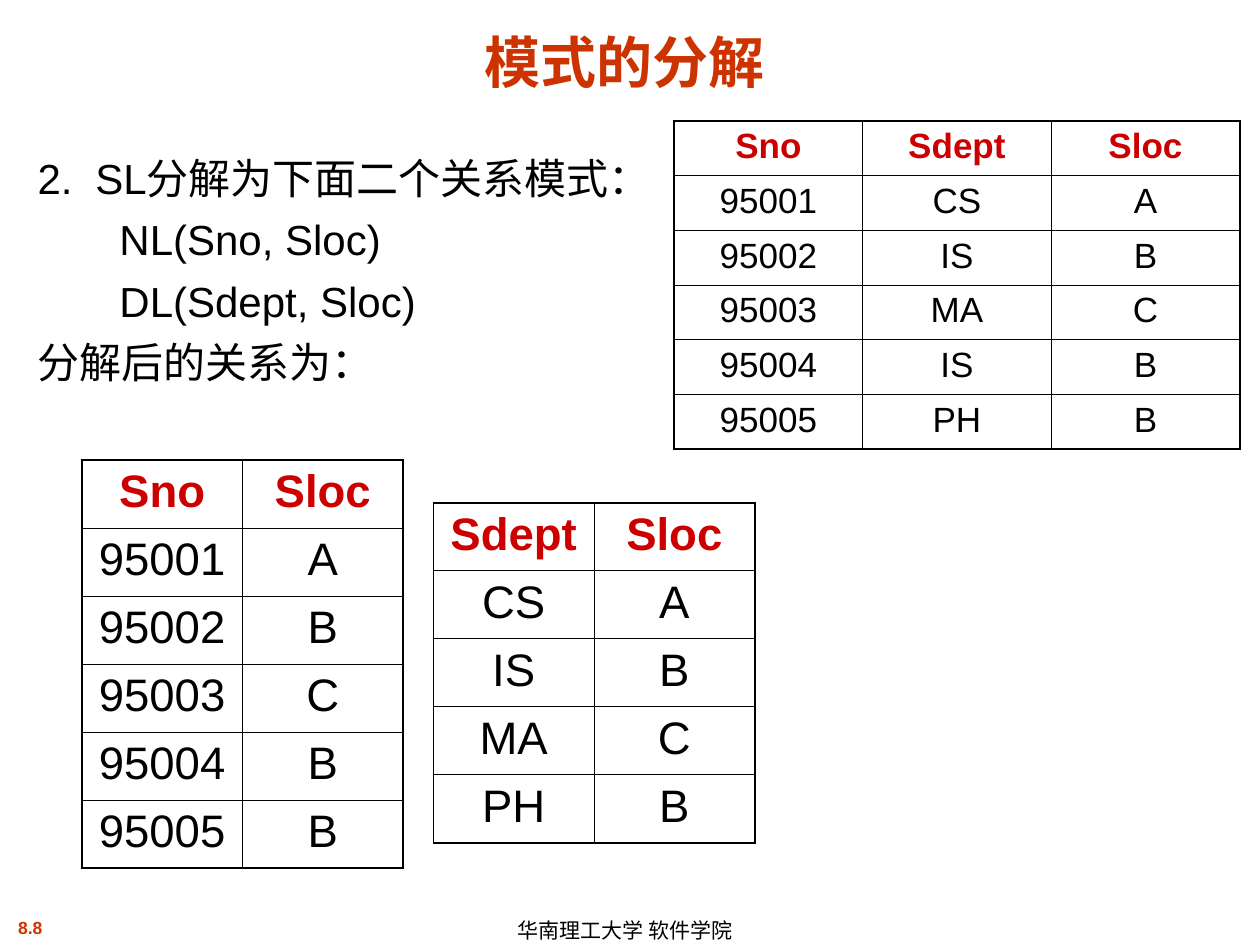
from dataclasses import dataclass

from lxml.etree import SubElement
from pptx import Presentation
from pptx.dml.color import RGBColor
from pptx.enum.text import MSO_ANCHOR, PP_ALIGN
from pptx.oxml.ns import qn
from pptx.util import Inches, Pt


@dataclass(frozen=True)
class Theme:
    font: str = "Arial"
    accent: str = "CC3300"
    header: str = "CC0000"
    ink: str = "000000"
    title_size: int = 32
    body_size: int = 24
    full_table_size: int = 20
    split_table_size: int = 26
    footer_size: int = 12
    number_size: int = 10
    outer_line: float = 1.08
    inner_line: float = 0.45


THEME = Theme()
SLIDE_WIDTH, SLIDE_HEIGHT = Inches(10), Inches(7.5)

FULL_RELATION = [
    ("Sno", "Sdept", "Sloc"),
    ("95001", "CS", "A"),
    ("95002", "IS", "B"),
    ("95003", "MA", "C"),
    ("95004", "IS", "B"),
    ("95005", "PH", "B"),
]
NL_RELATION = [(sno, sloc) for sno, _, sloc in FULL_RELATION]
# Each department appears once, in order of first appearance
DL_RELATION = list(dict.fromkeys((sdept, sloc) for _, sdept, sloc in FULL_RELATION))


def to_emu(box):
    """Turn left, top, width, height in percent of the slide into lengths."""
    left, top, width, height = box
    return (
        int(SLIDE_WIDTH * left / 100),
        int(SLIDE_HEIGHT * top / 100),
        int(SLIDE_WIDTH * width / 100),
        int(SLIDE_HEIGHT * height / 100),
    )


def style_paragraph(paragraph, size, color, bold=False, align=PP_ALIGN.LEFT):
    paragraph.alignment = align
    for run in paragraph.runs:
        run.font.name = THEME.font
        run.font.size = Pt(size)
        run.font.bold = bold
        run.font.color.rgb = RGBColor.from_string(color)


def add_title(slide, box, wording):
    title = slide.shapes.title
    title.left, title.top, title.width, title.height = to_emu(box)
    frame = title.text_frame
    frame.text = wording
    frame.vertical_anchor = MSO_ANCHOR.BOTTOM
    style_paragraph(frame.paragraphs[0], THEME.title_size, THEME.accent, True, PP_ALIGN.CENTER)


def add_explanation(slide, box, lines):
    """Each line is its wording, left margin and first-line indent in inches."""
    frame = slide.shapes.add_textbox(*to_emu(box)).text_frame
    frame.word_wrap = True
    for index, (wording, margin, indent) in enumerate(lines):
        paragraph = frame.add_paragraph() if index else frame.paragraphs[0]
        paragraph.text = wording
        properties = paragraph._p.get_or_add_pPr()
        properties.set("marL", str(Inches(margin)))
        properties.set("indent", str(Inches(indent)))
        paragraph.line_spacing = Pt(29)
        paragraph.space_before = Pt(6 if index else 0)
        style_paragraph(paragraph, THEME.body_size, THEME.ink, align=PP_ALIGN.JUSTIFY)


def set_borders(cell, outer_edges):
    properties = cell._tc.get_or_add_tcPr()
    for edge in ("lnL", "lnR", "lnT", "lnB"):
        weight = THEME.outer_line if edge in outer_edges else THEME.inner_line
        line = SubElement(properties, qn(f"a:{edge}"), w=str(Pt(weight)))
        fill = SubElement(line, qn("a:solidFill"))
        SubElement(fill, qn("a:srgbClr"), val=THEME.ink)


def add_relation(slide, box, rows, size, side_margin):
    row_count, column_count = len(rows), len(rows[0])
    table = slide.shapes.add_table(row_count, column_count, *to_emu(box)).table
    table.first_row = table.horz_banding = False
    for r, row in enumerate(rows):
        for c, wording in enumerate(row):
            cell = table.cell(r, c)
            cell.text = wording
            cell.margin_left = cell.margin_right = Inches(side_margin)
            is_header = r == 0
            color = THEME.header if is_header else THEME.ink
            style_paragraph(cell.text_frame.paragraphs[0], size, color, is_header, PP_ALIGN.CENTER)
            at_edge = {
                "lnL": c == 0,
                "lnR": c == column_count - 1,
                "lnT": r == 0,
                "lnB": r == row_count - 1,
            }
            set_borders(cell, {edge for edge, outer in at_edge.items() if outer})
            cell.fill.background()


def add_footer_text(slide, box, wording, size, color, bold, align, anchor, spacing):
    frame = slide.shapes.add_textbox(*to_emu(box)).text_frame
    frame.word_wrap = False
    frame.vertical_anchor = anchor
    frame.text = wording
    frame.paragraphs[0].line_spacing = spacing
    style_paragraph(frame.paragraphs[0], size, color, bold, align)


def add_decomposition_slide(presentation):
    slide = presentation.slides.add_slide(presentation.slide_layouts[5])

    # Page number and school name
    add_footer_text(slide, (-2.5, 96.4, 9.8, 3.6), "8.8", THEME.number_size, THEME.accent,
                    True, PP_ALIGN.CENTER, MSO_ANCHOR.TOP, 1.0)
    add_footer_text(slide, (40.1, 96.67, 22.4, 3.33), "华南理工大学 软件学院", THEME.footer_size,
                    THEME.ink, False, PP_ALIGN.LEFT, MSO_ANCHOR.MIDDLE, 1.1)

    # Title and explanation
    add_title(slide, (2.5, 1.73, 94.2, 8.93), "模式的分解")
    add_explanation(slide, (0, 15.47, 55.6, 27.33), [
        ("2.\tSL分解为下面二个关系模式：", 0.66, -0.46),
        ("NL(Sno, Sloc)", 0.85, 0),
        ("DL(Sdept, Sloc)", 0.85, 0),
        ("分解后的关系为：", 0.2, 0),
    ])

    # Relation before the decomposition, then the two it splits into
    add_relation(slide, (53.5, 12.8, 44.9, 34.67), FULL_RELATION, THEME.full_table_size, 0.28)
    add_relation(slide, (6.5, 48.67, 25.5, 43.2), NL_RELATION, THEME.split_table_size, 0.1)
    add_relation(slide, (34.4, 53.2, 25.5, 36), DL_RELATION, THEME.split_table_size, 0.1)


def main():
    presentation = Presentation()
    presentation.slide_width, presentation.slide_height = SLIDE_WIDTH, SLIDE_HEIGHT
    add_decomposition_slide(presentation)
    presentation.save("out.pptx")


if __name__ == "__main__":
    main()
